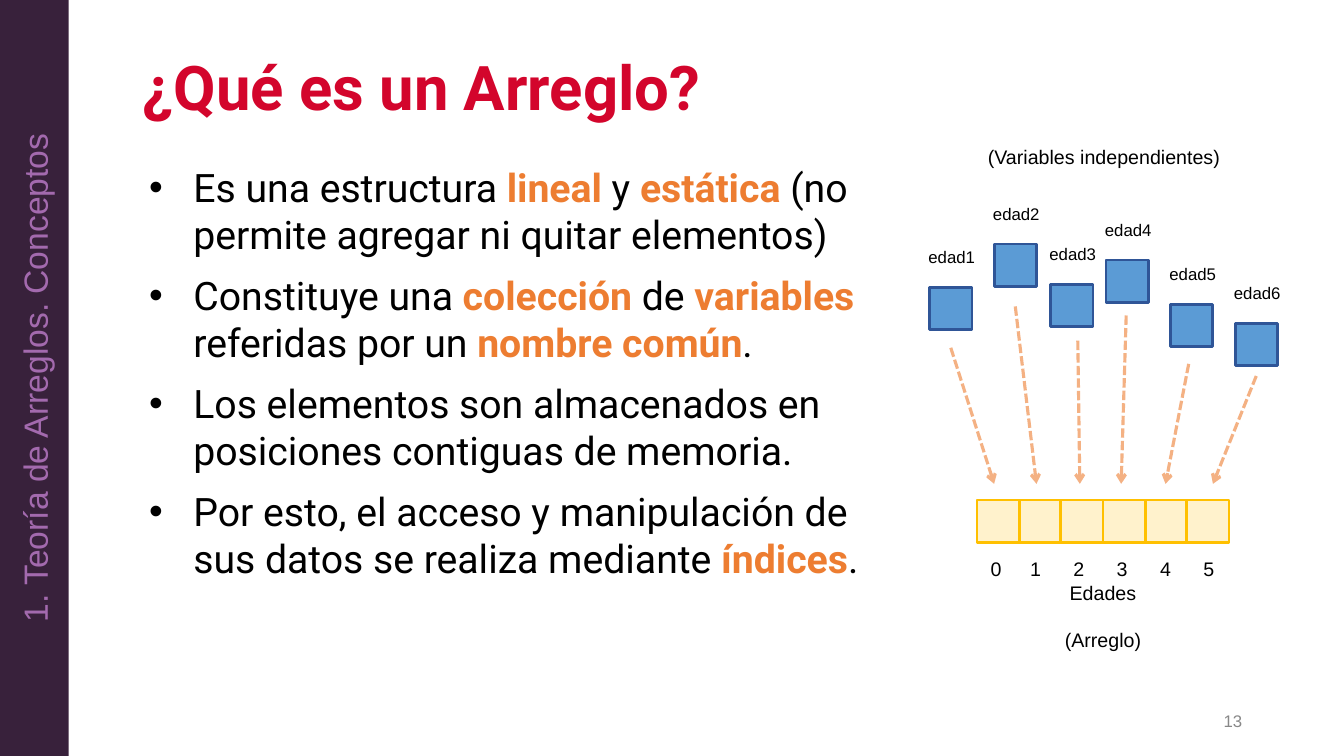
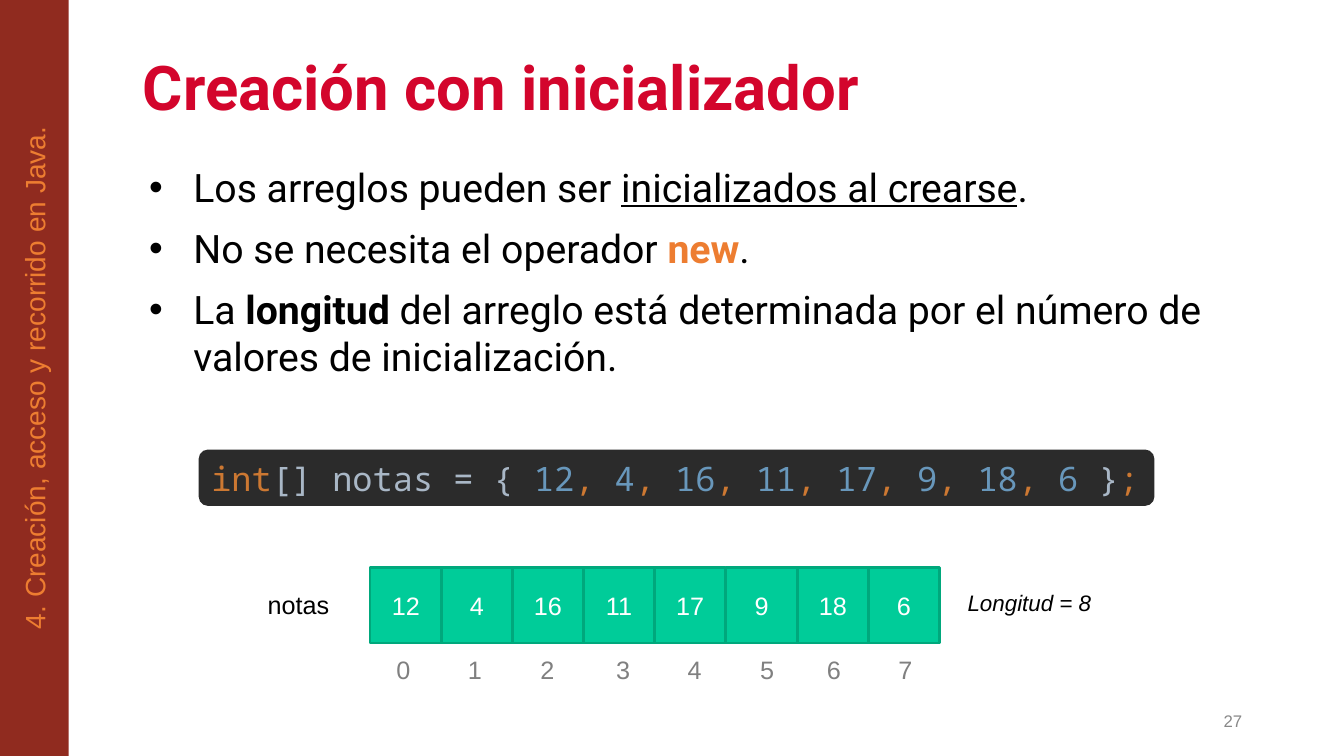
from lxml import etree
from pptx import Presentation
from pptx import util as u
from pptx.dml.color import RGBColor
from pptx.enum import dml, shapes, text
from pptx.oxml.ns import qn

PX = 9144  # EMU per px, 100 px to the inch
WIDTH, HEIGHT = 1333, 750

BLACK = RGBColor(0x00, 0x00, 0x00)
WHITE = RGBColor(0xFF, 0xFF, 0xFF)
GRAY = RGBColor(0x80, 0x80, 0x80)
PAGE_GRAY = RGBColor(0x88, 0x88, 0x88)
RED = RGBColor(0xD3, 0x05, 0x2C)
ORANGE = RGBColor(0xED, 0x7D, 0x31)
PURPLE = RGBColor(0x38, 0x21, 0x3B)
LILAC = RGBColor(0xA3, 0x6A, 0xAE)
BRICK = RGBColor(0x90, 0x2B, 0x1F)
BLUE = RGBColor(0x5B, 0x9B, 0xD5)
NAVY = RGBColor(0x2F, 0x55, 0x97)
CREAM = RGBColor(0xFF, 0xF2, 0xCC)
GOLD = RGBColor(0xFF, 0xC0, 0x00)
PEACH = RGBColor(0xF4, 0xB1, 0x83)
GREEN = RGBColor(0x00, 0xCC, 0x99)
DARK_GREEN = RGBColor(0x00, 0xA8, 0x7C)
CODE_BACK = RGBColor(0x2B, 0x2B, 0x2B)
CODE_WORD = RGBColor(0xCC, 0x78, 0x32)
CODE_PLAIN = RGBColor(0xA9, 0xB7, 0xC6)
CODE_NUMBER = RGBColor(0x68, 0x97, 0xBB)

CENTER, RIGHT = text.PP_ALIGN.CENTER, text.PP_ALIGN.RIGHT
TOP, MIDDLE = text.MSO_ANCHOR.TOP, text.MSO_ANCHOR.MIDDLE
RECT = shapes.MSO_SHAPE.RECTANGLE
KEY = {"color": ORANGE, "bold": True}


def px(*lengths):
    return [u.Emu(length * PX) for length in lengths]


def add_bullet(para):
    """Give a paragraph a black round bullet with a hanging indent."""
    props = para._p.get_or_add_pPr()
    indent, hang = px(50, -44)
    props.set("marL", str(indent))
    props.set("indent", str(hang))
    color = etree.SubElement(props, qn("a:buClr"))
    etree.SubElement(color, qn("a:srgbClr"), val=str(BLACK))
    etree.SubElement(props, qn("a:buFont"), typeface="Arial")
    etree.SubElement(props, qn("a:buChar"), char="•")


def write(box, paras, font="Arial", size=18, color=BLACK, bold=False, italic=False,
          align=None, anchor=TOP, wrap=True, bullets=False, spacing=None):
    """Write paragraphs; each is a string or a list of strings and (string, format) spans."""
    frame = box.text_frame
    frame.word_wrap = wrap
    frame.vertical_anchor = anchor
    for index, spans in enumerate([paras] if isinstance(paras, str) else paras):
        para = frame.paragraphs[0] if index == 0 else frame.add_paragraph()
        para.alignment = align or text.PP_ALIGN.LEFT
        if bullets:
            add_bullet(para)
            if index:
                para.space_before = u.Pt(10)
        if spacing:
            para.line_spacing = spacing
        for span in [spans] if isinstance(spans, str) else spans:
            words, style = (span, {}) if isinstance(span, str) else span
            run = para.add_run()
            run.text = words
            run.font.name = font
            run.font.size = u.Pt(size)
            run.font.color.rgb = style.get("color", color)
            run.font.bold = style.get("bold", bold)
            run.font.italic = italic
            run.font.underline = style.get("underline", False)


class Deck:
    """Holds the presentation, its style and the current slide."""

    def __init__(self):
        self.deck = Presentation()
        self.deck.slide_width, self.deck.slide_height = px(WIDTH, HEIGHT)
        self.page = None

    def new_page(self, title, number, section, band, section_color, section_size):
        self.page = self.deck.slides.add_slide(self.deck.slide_layouts[6])
        self.label(title, 132, 47, 1110, 86, font="Roboto", size=44, color=RED,
                   bold=True, anchor=MIDDLE, spacing=0.9)
        self.label(number, 942, 695, 300, 40, size=12, color=PAGE_GRAY,
                   align=RIGHT, anchor=MIDDLE)
        side = self.shape(0, 0, 68, HEIGHT, band)
        write(side, section, size=section_size, color=section_color,
              align=CENTER, anchor=MIDDLE)
        side.text_frame._txBody.bodyPr.set("vert", "vert270")

    def label(self, paras, left, top, width, height, **style):
        box = self.page.shapes.add_textbox(*px(left, top, width, height))
        write(box, paras, **style)

    def centered(self, words, center, top, height, width=100, **style):
        self.label(words, center - width // 2, top, width, height, align=CENTER, **style)

    def bullets(self, paras, width, height):
        self.label(paras, 132, 157, width, height, font="Roboto", size=28, bullets=True)

    def shape(self, left, top, width, height, fill, line=None, kind=RECT):
        box = self.page.shapes.add_shape(kind, *px(left, top, width, height))
        box.shadow.inherit = False
        box.fill.solid()
        box.fill.fore_color.rgb = fill
        if line:
            box.line.color.rgb = line
            box.line.width = u.Pt(2)
        else:
            box.line.fill.background()
        return box

    def cells(self, left, top, right, height, values, fill, line):
        """Draw a row of equal cells that fills the span from left to right."""
        edges = [left + round((right - left) * i / len(values))
                 for i in range(len(values) + 1)]
        for start, end, value in zip(edges, edges[1:], values):
            cell = self.shape(start, top, end - start, height, fill, line)
            if value:
                write(cell, value, color=WHITE, align=CENTER, anchor=MIDDLE)

    def indices(self, centers, top, height, **style):
        for index, center in enumerate(centers):
            self.centered(str(index), center, top, height, width=40, **style)

    def arrow(self, *ends):
        arrow = self.page.shapes.add_connector(shapes.MSO_CONNECTOR.STRAIGHT, *px(*ends))
        arrow.line.color.rgb = PEACH
        arrow.line.width = u.Pt(2.25)
        arrow.line.dash_style = dml.MSO_LINE.SQUARE_DOT
        etree.SubElement(arrow.line._get_or_add_ln(), qn("a:tailEnd"), type="arrow")
        etree.SubElement(arrow._element.spPr, qn("a:effectLst"))


def array_concept(deck):
    deck.new_page("¿Qué es un Arreglo?", "13", "1. Teoría de Arreglos. Conceptos",
                  PURPLE, LILAC, 24)
    deck.bullets([
        ["Es una estructura ", ("lineal", KEY), " y ", ("estática", KEY),
         " (no permite agregar ni quitar elementos)"],
        ["Constituye una ", ("colección", KEY), " de ", ("variables", KEY),
         " referidas por un ", ("nombre común", KEY), "."],
        "Los elementos son almacenados en posiciones contiguas de memoria.",
        ["Por esto, el acceso y manipulación de sus datos se realiza mediante ",
         ("índices", KEY), "."],
    ], 754, 527)

    # Loose variables, each with an arrow to its place in the array
    deck.centered("(Variables independientes)", 1095, 139, 34, width=254, size=14)
    variables = [  # left and top of the square, start of the arrow, x of its tip
        (922, 285, 943, 345, 986),
        (986, 242, 1007, 304, 1028),
        (1042, 282, 1069, 338, 1071),
        (1097, 258, 1117, 313, 1112),
        (1161, 302, 1179, 361, 1156),
        (1225, 321, 1246, 373, 1203),
    ]
    for number, (left, top, start_x, start_y, tip_x) in enumerate(variables, 1):
        deck.shape(left, top, 42, 42, BLUE, NAVY)
        deck.centered(f"edad{number}", left + 22, top - 45, 30, size=12, wrap=False)
        deck.arrow(start_x, start_y, tip_x, 480)

    # The array
    deck.cells(969, 496, 1219, 42, [""] * 6, CREAM, GOLD)
    deck.indices([988, 1027, 1070, 1113, 1156, 1199], 548, 34, size=14)
    deck.centered("Edades", 1094, 571, 34, size=14)
    deck.centered("(Arreglo)", 1094, 618, 34, size=14)


def array_initializer(deck):
    deck.new_page("Creación con inicializador", "27",
                  "4. Creación, acceso y recorrido en Java.", BRICK, ORANGE, 20)
    deck.bullets([
        ["Los arreglos pueden ser ", ("inicializados al crearse", {"underline": True}), "."],
        ["No se necesita el operador ", ("new", KEY), "."],
        ["La ", ("longitud", {"bold": True}),
         " del arreglo está determinada por el número de valores de inicialización."],
    ], 1110, 523)

    # Line of code
    values = ["12", "4", "16", "11", "17", "9", "18", "6"]
    word, number = {"color": CODE_WORD}, {"color": CODE_NUMBER}
    code = [("int", word), "[] notas = { "]
    for value in values[:-1]:
        code += [(value, number), (", ", word)]
    code += [(values[-1] + " ", number), "}", (";", word)]
    box = deck.shape(197, 446, 948, 56, CODE_BACK, kind=shapes.MSO_SHAPE.ROUNDED_RECTANGLE)
    write(box, [code], font="Noto Sans Mono", size=24, color=CODE_PLAIN,
          anchor=MIDDLE, wrap=False)

    # The array
    deck.centered("notas", 296, 580, 40)
    deck.cells(367, 563, 932, 75, values, GREEN, DARK_GREEN)
    deck.indices([400, 471, 543, 618, 689, 761, 827, 898], 644, 40, color=GRAY)
    deck.centered("Longitud = 8", 1021, 580, 37, width=160, size=16, italic=True)


def main():
    deck = Deck()
    array_concept(deck)
    array_initializer(deck)
    deck.deck.save("out.pptx")


if __name__ == "__main__":
    main()
